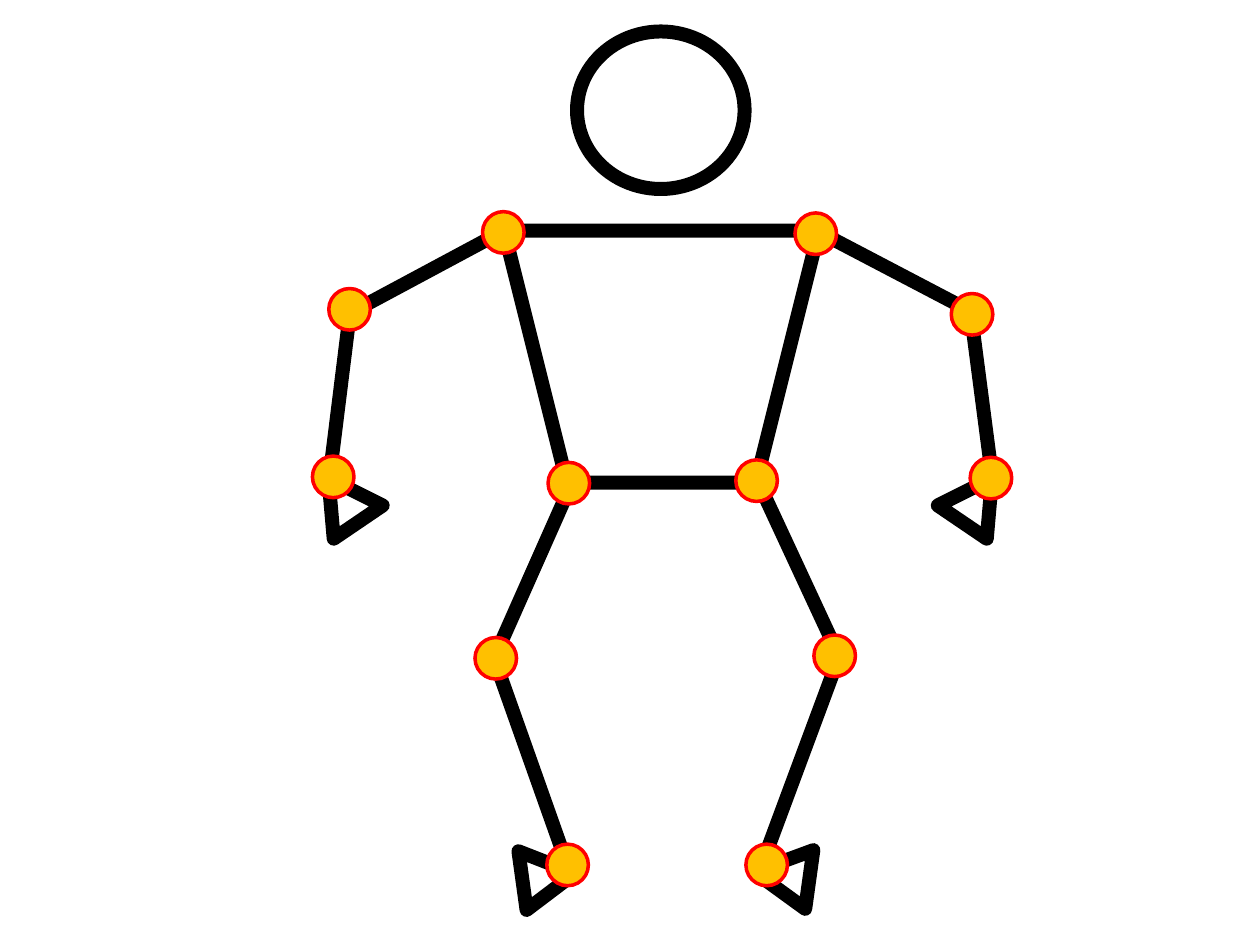
from lxml.etree import SubElement
from pptx import Presentation
from pptx.dml.color import RGBColor
from pptx.enum.shapes import MSO_CONNECTOR, MSO_SHAPE
from pptx.oxml.ns import qn
from pptx.util import Pt

SCALE = 9144  # EMU per px, 100 px to the inch
BLACK = RGBColor(0x00, 0x00, 0x00)
RED = RGBColor(0xFF, 0x00, 0x00)
AMBER = RGBColor(0xFF, 0xC0, 0x00)
BONE_WIDTH = 8
JOINT_WIDTH = 2
JOINT_SIZE = 33


def add_outline(shapes, preset, bounds, color=BLACK, width=BONE_WIDTH, fill=None):
    shape = shapes.add_shape(preset, *[length * SCALE for length in bounds])
    shape.shadow.inherit = False
    if fill is None:
        shape.fill.background()
    else:
        shape.fill.solid()
        shape.fill.fore_color.rgb = fill
    shape.line.color.rgb = color
    shape.line.width = Pt(width)
    return shape


def add_bone(shapes, ends):
    bone = shapes.add_connector(
        MSO_CONNECTOR.STRAIGHT, *[length * SCALE for length in ends])
    bone.line.color.rgb = BLACK
    bone.line.width = Pt(BONE_WIDTH)
    SubElement(bone._element.spPr, qn("a:effectLst"))


deck = Presentation()
deck.slide_width = 1000 * SCALE
deck.slide_height = 750 * SCALE
page = deck.slides.add_slide(deck.slide_layouts[6])

# Torso and head
add_outline(page.shapes, MSO_SHAPE.FLOWCHART_MANUAL_OPERATION, (400, 183, 250, 200))
add_outline(page.shapes, MSO_SHAPE.OVAL, (458, 25, 133, 125))

# Each limb: upper bone, lower bone, hand or foot, its rotation
limbs = [
    ((400, 183, 275, 250), (278, 246, 261, 383), (249, 376, 47, 42), 325.8),
    ((454, 383, 391, 525), (454, 697, 392, 522), (412, 675, 47, 42), 82.1),
    ((648, 183, 774, 249), (770, 245, 788, 383), (752, 376, 47, 42), 34.2),
    ((601, 381, 667, 523), (601, 696, 666, 521), (597, 673, 47, 44), 277.9),
]
for upper, lower, tip_bounds, rotation in limbs:
    limb = page.shapes.add_group_shape()
    add_bone(limb.shapes, upper)
    add_bone(limb.shapes, lower)
    tip = add_outline(limb.shapes, MSO_SHAPE.ISOSCELES_TRIANGLE, tip_bounds)
    tip.rotation = rotation

# Left and top of each joint
joints = [
    (383, 168),  # left shoulder
    (261, 229),  # left elbow
    (248, 362),  # left wrist
    (584, 365),  # right hip
    (435, 367),  # left hip
    (631, 169),  # right shoulder
    (755, 233),  # right elbow
    (770, 363),  # right wrist
    (646, 504),  # right knee
    (377, 506),  # left knee
    (434, 670),  # left ankle
    (592, 670),  # right ankle
]
for left, top in joints:
    add_outline(page.shapes, MSO_SHAPE.OVAL, (left, top, JOINT_SIZE, JOINT_SIZE),
                RED, JOINT_WIDTH, AMBER)

deck.save("out.pptx")
